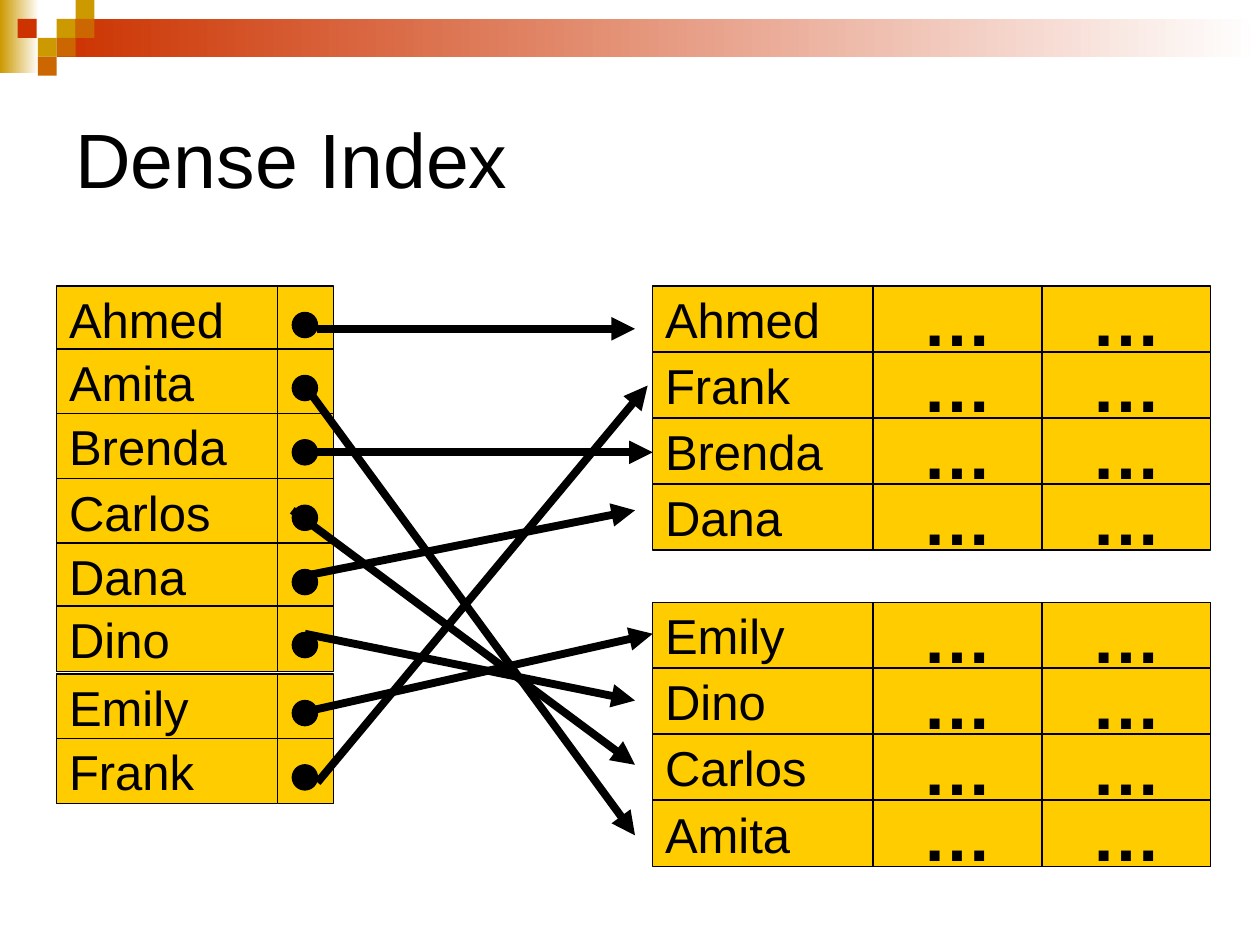
from dataclasses import dataclass

from lxml.etree import SubElement
from pptx import Presentation
from pptx.dml.color import RGBColor
from pptx.enum.shapes import MSO_CONNECTOR, MSO_SHAPE
from pptx.enum.text import MSO_ANCHOR, PP_ALIGN
from pptx.oxml.ns import qn
from pptx.util import Inches, Pt


@dataclass(frozen=True)
class Theme:
    font: str = "Arial"
    black: RGBColor = RGBColor(0, 0, 0)
    white: RGBColor = RGBColor(255, 255, 255)
    cell: RGBColor = RGBColor(0xFF, 0xCC, 0x00)
    gold: RGBColor = RGBColor(0xCC, 0x99, 0x00)
    orange: RGBColor = RGBColor(0xCC, 0x66, 0x00)
    red: RGBColor = RGBColor(0xCC, 0x33, 0x00)
    title_size: Pt = Pt(44)
    name_size: Pt = Pt(28)
    dots_size: Pt = Pt(40)
    border: Pt = Pt(0.75)
    arrow: Pt = Pt(4.5)


theme = Theme()
deck = Presentation()
deck.slide_width, deck.slide_height = Inches(10), Inches(7.5)
page = deck.slides.add_slide(deck.slide_layouts[6])


def add_figure(kind, left, top, width, height, color, outlined=True):
    figure = page.shapes.add_shape(kind, Inches(left), Inches(top), Inches(width), Inches(height))
    figure.shadow.inherit = False
    figure.fill.solid()
    figure.fill.fore_color.rgb = color
    if outlined:
        figure.line.color.rgb = theme.black
        figure.line.width = theme.border
    else:
        figure.line.fill.background()
    return figure


def write(box, text, size, align=PP_ALIGN.LEFT, bold=False):
    frame = box.text_frame
    frame.word_wrap = True
    frame.vertical_anchor = MSO_ANCHOR.MIDDLE
    para = frame.paragraphs[0]
    para.text = text
    para.alignment = align
    para.font.name = theme.font
    para.font.size = size
    para.font.bold = bold
    para.font.color.rgb = theme.black


for left, top, width, height, color in [
    (0, 0, 0.31, 0.58, theme.gold),
    (0.45, 0.15, 9.55, 0.3, theme.red),
]:
    band = add_figure(MSO_SHAPE.RECTANGLE, left, top, width, height, color, outlined=False)
    band.fill.gradient()
    band.fill.gradient_angle = 0
    start, end = band.fill.gradient_stops
    start.color.rgb, start.position = color, 0
    end.color.rgb, end.position = theme.white, 1

for left, top, color in [
    (0.45, 0.15, theme.gold),
    (0.6, 0, theme.gold),
    (0.6, 0.15, theme.orange),
    (0.3, 0.3, theme.gold),
    (0.14, 0.15, theme.red),
    (0.45, 0.3, theme.orange),
    (0.3, 0.45, theme.orange),
]:
    add_figure(MSO_SHAPE.RECTANGLE, left, top, 0.15, 0.15, color, outlined=False)

title = page.shapes.add_textbox(Inches(0.5), Inches(0.5), Inches(9), Inches(1.5))
write(title, "Dense Index", theme.title_size)

row_height = 0.52
name_width = 1.75
for block_top, names in [
    (2.27, ["Ahmed", "Frank", "Brenda", "Dana"]),
    (4.78, ["Emily", "Dino", "Carlos", "Amita"]),
]:
    for row, name in enumerate(names):
        top = block_top + row * 0.525
        record = add_figure(MSO_SHAPE.RECTANGLE, 5.18, top, name_width, row_height, theme.cell)
        write(record, name, theme.name_size)
        for left in (6.93, 8.27):
            field = add_figure(MSO_SHAPE.RECTANGLE, left, top, 1.34, row_height, theme.cell)
            write(field, "…", theme.dots_size, PP_ALIGN.CENTER, bold=True)

index_rows = [
    ("Ahmed", 2.27),
    ("Amita", 2.77),
    ("Brenda", 3.28),
    ("Carlos", 3.8),
    ("Dana", 4.31),
    ("Dino", 4.81),
    ("Emily", 5.35),
    ("Frank", 5.86),
]
for name, top in index_rows:
    key = add_figure(MSO_SHAPE.RECTANGLE, 0.45, top, name_width, row_height, theme.cell)
    write(key, name, theme.name_size)
    add_figure(MSO_SHAPE.RECTANGLE, 2.2, top, 0.45, row_height, theme.cell)
    add_figure(MSO_SHAPE.OVAL, 2.32, top + 0.21, 0.2, 0.2, theme.black)

for start_x, start_y, end_x, end_y in [
    (2.52, 2.61, 5.04, 2.61),
    (2.42, 3.06, 5.04, 6.63),
    (2.42, 3.59, 5.18, 3.59),
    (2.32, 4.05, 5.04, 6.07),
    (2.42, 4.57, 5.04, 4.05),
    (2.42, 5.03, 5.04, 5.56),
    (2.42, 5.65, 5.18, 5.03),
    (2.52, 6.21, 5.14, 3.06),
]:
    pointer = page.shapes.add_connector(
        MSO_CONNECTOR.STRAIGHT, Inches(start_x), Inches(start_y), Inches(end_x), Inches(end_y)
    )
    pointer.line.color.rgb = theme.black
    pointer.line.width = theme.arrow
    SubElement(pointer.line._get_or_add_ln(), qn("a:tailEnd"), type="triangle")
    SubElement(pointer._element.spPr, qn("a:effectLst"))

deck.save("out.pptx")
